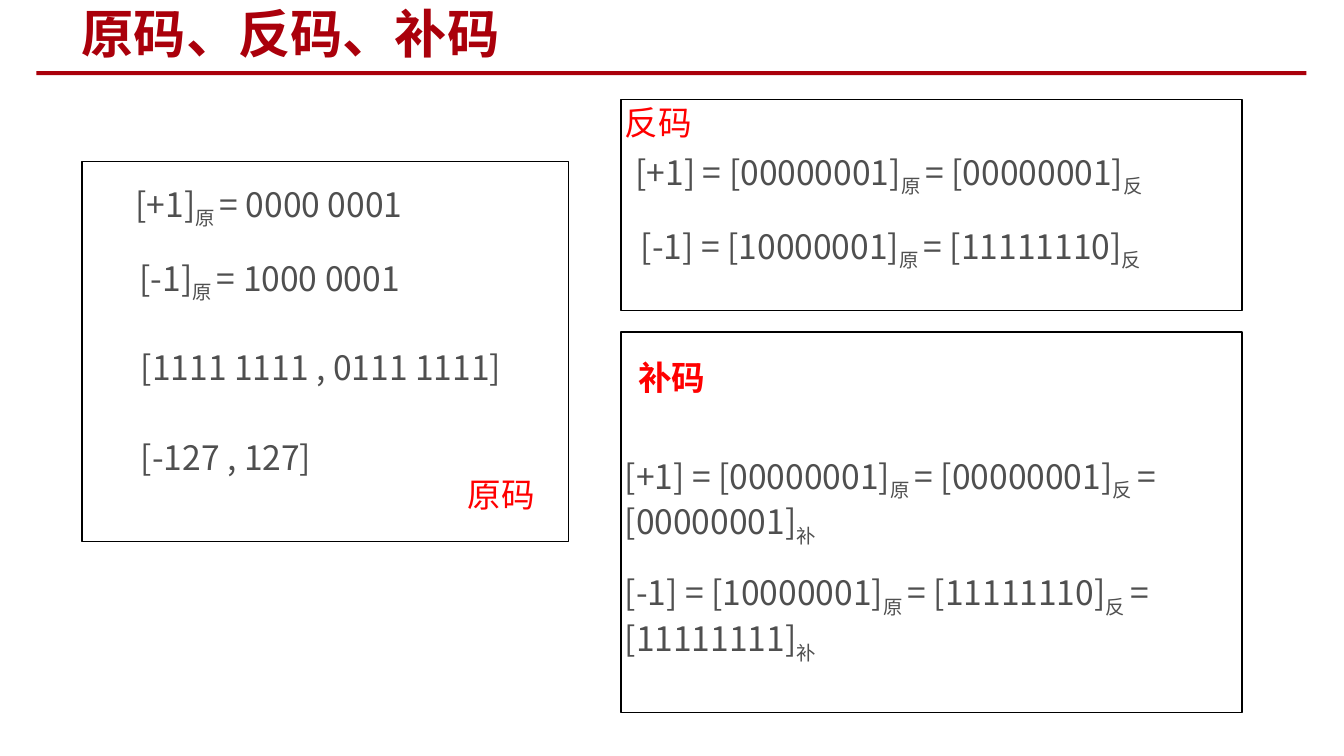
"""Build a slide comparing sign-magnitude, ones' and two's complement codes."""
from lxml import etree
from pptx import Presentation, util as u
from pptx.dml.color import RGBColor
from pptx.enum import shapes, text
from pptx.oxml.ns import qn

CRIMSON = RGBColor(0xAA, 0x00, 0x0B)
RED = RGBColor(0xFF, 0x00, 0x00)
GRAY = RGBColor(0x4F, 0x4F, 0x4F)
BLACK = RGBColor(0x00, 0x00, 0x00)

BODY_FONT, SUB_FONT, LABEL_FONT = "Noto Sans CJK SC", "Roboto", "Calibri"
NO_BREAK_SPACE = chr(160)
WIDTH = 10
HEIGHT = WIDTH * 9 / 16
LINE_HEIGHT, WRAPPED_HEIGHT = 0.4, 0.71
RIGHT, PANEL_WIDTH, TALL = 4.62, 4.62, 2.83
TEXT_LEFT = 4.55

TITLE = "原码、反码、补码"
PANELS = [
    (0.61, 1.2, 3.62, TALL),
    (RIGHT, 0.74, PANEL_WIDTH, 1.57),
    (RIGHT, 2.47, PANEL_WIDTH, TALL),
]
LABELS = [
    ("原码", 3.38, 3.48, False),
    ("反码", TEXT_LEFT, 0.71, False),
    ("补码", 4.65, 2.61, True),
]
SINGLE_LINES = [
    (0.91, 1.32, 2.47, ["[+1]", "原 ", "= 0000 0001"]),
    (0.94, 1.87, 2.39, ["[-1]", "原 ", "= 1000 0001"]),
    (0.95, 2.53, 3.09, ["[1111 1111 , 0111 1111]"]),
    (0.95, 3.2, 1.57, ["[-127 , 127]"]),
    (4.63, 1.08, 4.41, ["[+1] = [00000001]", "原 ", "= [00000001]", "反"]),
    (4.67, 1.63, 4.33, ["[-1] = [10000001]", "原 ", "= [11111110]", "反"]),
]
WRAPPED_LINES = [
    (3.34, ["[+1] = [00000001]", "原 ", "= [00000001]", "反 ", "= [00000001]", "补"]),
    (4.21, ["[-1] = [10000001]", "原 ", "= [11111110]", "反 ", "= [11111111]", "补"]),
]


def inches(*lengths):
    return [u.Inches(length) for length in lengths]


def add_run(paragraph, words, font, color, size=18, bold=False, subscript=False):
    run = paragraph.add_run()
    run.text = words
    run.font.name = font
    run.font.size = u.Pt(size)
    run.font.bold = bold
    run.font.color.rgb = color
    properties = run._r.get_or_add_rPr()
    etree.SubElement(properties, qn("a:ea")).set("typeface", font)
    if subscript:
        properties.set("baseline", "-25000")


def add_box(slide, box, wrap=False, grow=True):
    frame = slide.shapes.add_textbox(*inches(*box)).text_frame
    frame.word_wrap = wrap
    if grow:
        frame.auto_size = text.MSO_AUTO_SIZE.SHAPE_TO_FIT_TEXT
    return frame


def add_formula(slide, box, parts, wrap=False):
    paragraph = add_box(slide, box, wrap).paragraphs[0]
    for index, part in enumerate(parts):
        if index % 2:
            words = part.replace(" ", NO_BREAK_SPACE)
            add_run(paragraph, words, SUB_FONT, GRAY, subscript=True)
        else:
            add_run(paragraph, part, BODY_FONT, GRAY)


def add_rectangle(slide, box, fill=None):
    shape = slide.shapes.add_shape(shapes.MSO_SHAPE.RECTANGLE, *inches(*box))
    shape.shadow.inherit = False
    if fill is None:
        shape.fill.background()
        shape.line.color.rgb = BLACK
        shape.line.width = u.Pt(0.75)
    else:
        shape.fill.solid()
        shape.fill.fore_color.rgb = fill
        shape.line.fill.background()


def main():
    presentation = Presentation()
    presentation.slide_width, presentation.slide_height = inches(WIDTH, HEIGHT)
    slide = presentation.slides.add_slide(presentation.slide_layouts[6])

    add_rectangle(slide, (0.27, 0.53, 9.45, 0.03), CRIMSON)
    for left, top, width, parts in SINGLE_LINES:
        add_formula(slide, (left, top, width, LINE_HEIGHT), parts)
    for top, parts in WRAPPED_LINES:
        add_formula(slide, (TEXT_LEFT, top, WIDTH / 2, WRAPPED_HEIGHT), parts, wrap=True)

    title = add_box(slide, (0.51, 0.02, 5.3, 0.45), wrap=True, grow=False)
    title.vertical_anchor = text.MSO_ANCHOR.MIDDLE
    add_run(title.paragraphs[0], TITLE, BODY_FONT, CRIMSON, size=28, bold=True)

    for panel in PANELS:
        add_rectangle(slide, panel)
    for words, left, top, bold in LABELS:
        label = add_box(slide, (left, top, 0.71, LINE_HEIGHT))
        add_run(label.paragraphs[0], words, LABEL_FONT, RED, bold=bold)

    presentation.save("out.pptx")


if __name__ == "__main__":
    main()
